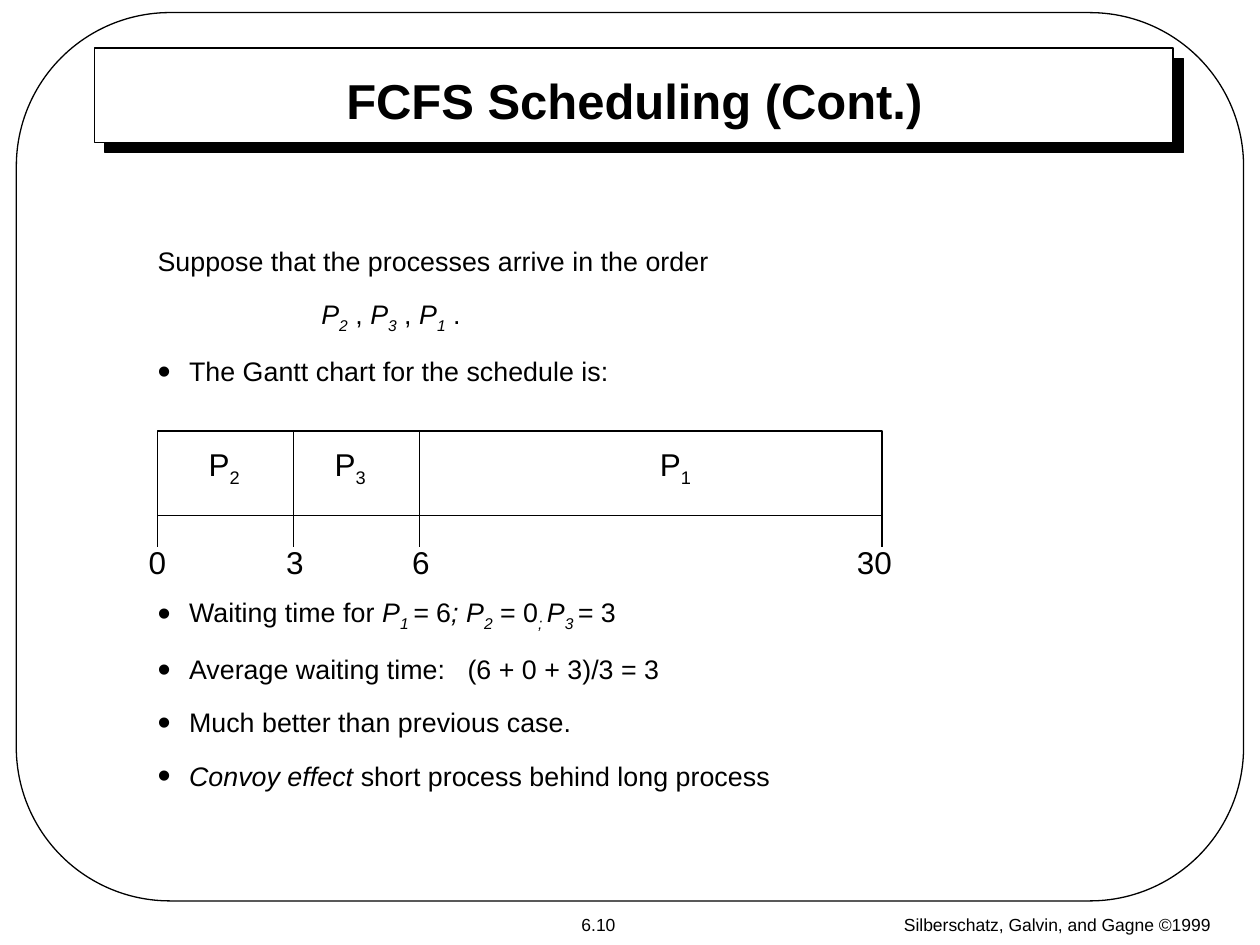
from lxml import etree
from pptx import Presentation
from pptx.dml.color import RGBColor
from pptx.enum.shapes import MSO_CONNECTOR, MSO_SHAPE
from pptx.enum.text import MSO_ANCHOR, MSO_AUTO_SIZE, PP_ALIGN
from pptx.oxml import parse_xml
from pptx.oxml.ns import nsdecls, qn
from pptx.util import Inches, Pt

BLACK = RGBColor(0, 0, 0)
WHITE = RGBColor(255, 255, 255)
RECT, ROUND = MSO_SHAPE.RECTANGLE, MSO_SHAPE.ROUNDED_RECTANGLE
LINE = MSO_CONNECTOR.STRAIGHT
TOP, MIDDLE = MSO_ANCHOR.TOP, MSO_ANCHOR.MIDDLE
LEFT, CENTER = PP_ALIGN.LEFT, PP_ALIGN.CENTER
NO_FIT = MSO_AUTO_SIZE.NONE

TITLE = {"size": Pt(28), "bold": True}
BODY = {"size": Pt(15.3)}
LABEL = {"size": Pt(18)}
SMALL = {"size": Pt(10)}

# Run styles: "i" italic, "s" subscript. Each line: bulleted, indent, space before, runs.
LINES = [
    (False, 0, 0, [("Suppose that the processes arrive in the order", "")]),
    (False, 1.3, 12, [("P", "i"), ("2", "is"), (" , ", ""), ("P", "i"), ("3", "is"),
                      (" , ", ""), ("P", "i"), ("1", "is"), (" .", "")]),
    (True, 0.25, 12, [("The Gantt chart for the schedule is:", "")]),
    (True, 0.25, 119, [("Waiting time for ", ""), ("P", "i"), ("1 ", "is"), ("=", "i"),
                       (" 6", ""), ("; P", "i"), ("2", "is"), (" = 0", ""),
                       ("; ", "is"), ("P", "i"), ("3 ", "is"), ("= ", "i"), ("3", "")]),
    (True, 0.25, 12, [("Average waiting time:   (6 + 0 + 3)/3 = 3", "")]),
    (True, 0.25, 12, [("Much better than previous case.", "")]),
    (True, 0.25, 12, [("Convoy effect", "i"), (" short process behind long process", "")]),
]

# Process number and label centre; time and tick place, label centre: inches from bar left
JOBS = [("2", 0.53), ("3", 1.53), ("1", 4.11)]
TICKS = [("0", 0, 0), ("3", 1.08, 1.09), ("6", 2.08, 2.09), ("30", 5.75, 5.69)]


def place(shape, left, top, width, height):
    spots = {"left": left, "top": top, "width": width, "height": height}
    for name, value in spots.items():
        setattr(shape, name, Inches(value))


def write(para, runs, form):
    for text, style in runs:
        run = para.add_run()
        run.text = text
        font = run.font
        for name, value in {"name": "Arial", "italic": "i" in style, **form}.items():
            setattr(font, name, value)
        font.color.rgb = BLACK
        if "s" in style:
            run._r.get_or_add_rPr().set("baseline", "-25000")


def set_frame(frame, **form):
    for name, value in {"auto_size": NO_FIT, "vertical_anchor": MIDDLE, **form}.items():
        setattr(frame, name, value)


def label(slide, mid, top, width, height, runs, form):
    """Add a one-line text box centred on mid."""
    box = slide.shapes.add_textbox(
        Inches(mid - width / 2), Inches(top), Inches(width), Inches(height))
    set_frame(box.text_frame, word_wrap=False)
    para = box.text_frame.paragraphs[0]
    para.alignment = CENTER
    write(para, runs, form)


def panel(slide, kind, left, top, width, height, filled=True):
    shape = slide.shapes.add_shape(
        kind, Inches(left), Inches(top), Inches(width), Inches(height))
    shape.shadow.inherit = False
    if filled:
        shape.fill.solid()
        shape.fill.fore_color.rgb = WHITE
    else:
        shape.fill.background()
    shape.line.color.rgb = BLACK
    shape.line.width = Pt(0.75)
    return shape


def stroke(slide, across, top, bottom):
    line = slide.shapes.add_connector(
        LINE, Inches(across), Inches(top), Inches(across), Inches(bottom))
    line.line.color.rgb = BLACK
    line.line.width = Pt(0.75)
    etree.SubElement(line._element.spPr, qn("a:effectLst"))


def cast_shadow(shape):
    effects = shape._element.spPr.find(qn("a:effectLst"))
    effects.append(parse_xml(
        f'<a:outerShdw {nsdecls("a")} blurRad="0" dist="{Pt(8.5)}" dir="2700000" '
        'algn="tl" rotWithShape="0"><a:srgbClr val="000000"/></a:outerShdw>'))


def add_bullet(para):
    props = para._p.get_or_add_pPr()
    for tag, name, value in [("buSzPct", "val", "140000"),
                             ("buFont", "typeface", "Arial"),
                             ("buChar", "char", "•")]:
        etree.SubElement(props, qn(f"a:{tag}")).set(name, value)


def draw_border(slide, left, top, width, height):
    """Draw the rounded border with the footer row below it."""
    border = panel(slide, ROUND, left, top, width, height, filled=False)
    border.adjustments[0] = 0.173
    foot = top + height + 0.05
    label(slide, left + 4.62, foot, 0.94, 0.27, [("6.10", "")], SMALL)
    label(slide, left + 8.26, foot, 3.17, 0.27,
          [("Silberschatz, Galvin, and Gagne ©1999", "")], SMALL)


def draw_title(slide, left, top, width, height):
    cast_shadow(panel(slide, RECT, left, top, width, height))
    title = slide.shapes.title
    slide.shapes._spTree.append(title._element)
    place(title, left + 0.52, top + 0.16, width - 1.03, 0.5)
    set_frame(title.text_frame, word_wrap=True)
    para = title.text_frame.paragraphs[0]
    para.alignment = CENTER
    write(para, [("FCFS Scheduling (Cont.)", "")], TITLE)


def draw_body(slide, left, top, width, height):
    body = slide.placeholders[1]
    slide.shapes._spTree.append(body._element)
    place(body, left, top, width, height)
    frame = body.text_frame
    set_frame(frame, word_wrap=True, vertical_anchor=TOP)
    for index, (bulleted, indent, space, runs) in enumerate(LINES):
        para = frame.add_paragraph() if index else frame.paragraphs[0]
        para.alignment = LEFT
        para.space_before = Pt(space)
        props = para._p.get_or_add_pPr()
        props.set("marL", str(Inches(indent)))
        props.set("indent", str(Inches(-indent if bulleted else 0)))
        if bulleted:
            add_bullet(para)
        else:
            etree.SubElement(props, qn("a:buNone"))
        write(para, runs, BODY)


def draw_gantt(slide, left, top, width, height):
    panel(slide, RECT, left, top, width, height)
    base = top + height
    for number, mid in JOBS:
        label(slide, left + mid, top + 0.06, 0.45, 0.44,
              [("P", ""), (number, "s")], LABEL)
    for time, across, mid in TICKS:
        inner = 0 < across < width
        stroke(slide, left + across, top if inner else base, base + 0.25)
        label(slide, left + mid, base + 0.17, 0.48, 0.4, [(time, "")], LABEL)


def main():
    deck = Presentation()
    deck.slide_width, deck.slide_height = Inches(10), Inches(7.5)
    slide = deck.slides.add_slide(deck.slide_layouts[1])
    draw_border(slide, 0.13, 0.1, 9.74, 7.05)
    draw_title(slide, 0.75, 0.38, 8.56, 0.75)
    draw_body(slide, 1.15, 1.89, 7.69, 4.5)
    draw_gantt(slide, 1.25, 3.42, 5.75, 0.67)
    deck.save("out.pptx")


if __name__ == "__main__":
    main()
